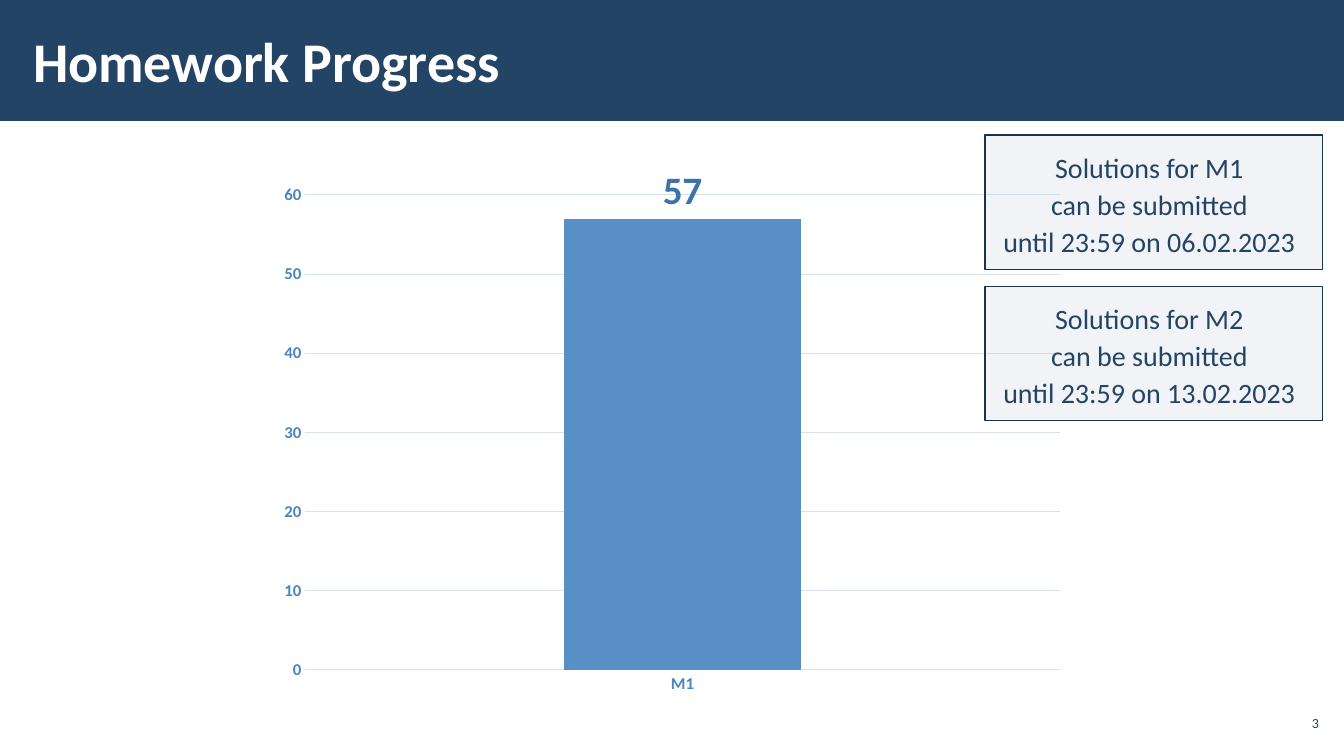
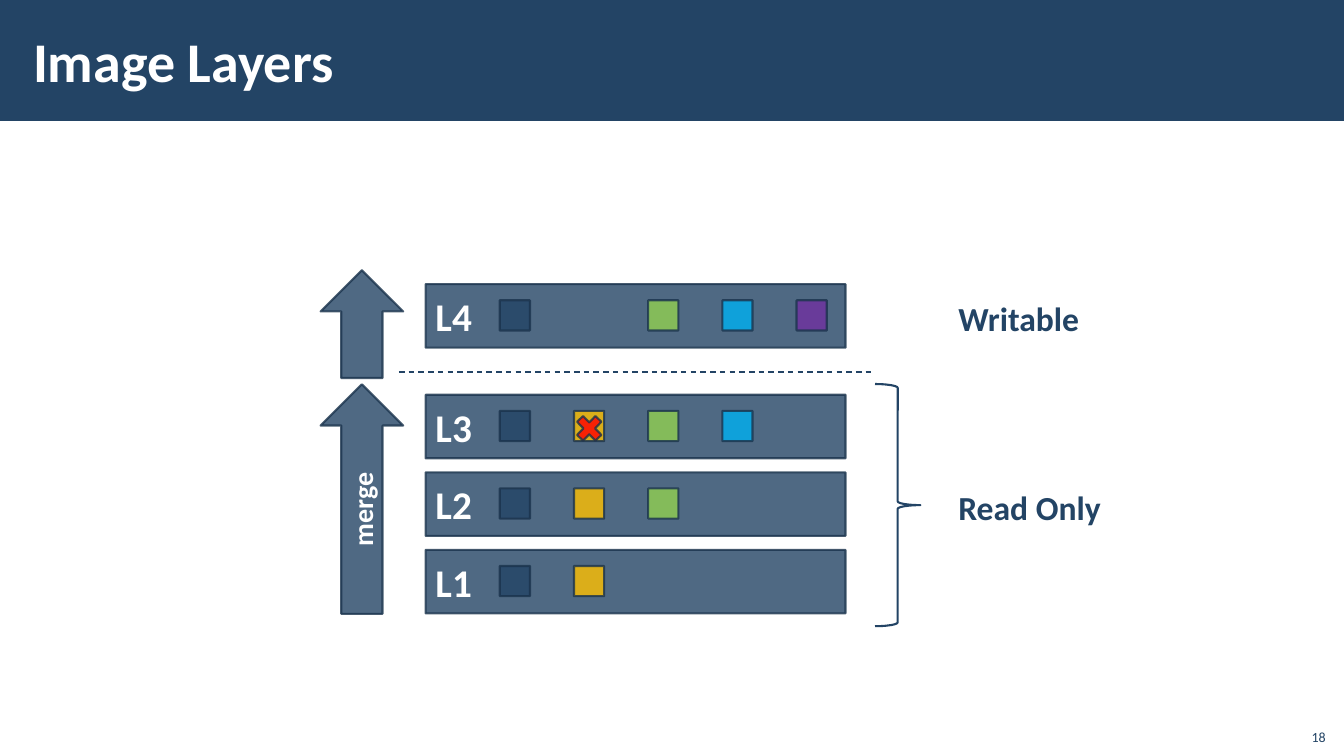
from dataclasses import dataclass

from pptx import Presentation
from pptx.chart.data import CategoryChartData
from pptx.dml.color import RGBColor
from pptx.enum.chart import XL_CHART_TYPE, XL_LABEL_POSITION, XL_TICK_MARK
from pptx.enum.dml import MSO_LINE
from pptx.enum.shapes import MSO_CONNECTOR, MSO_SHAPE
from pptx.enum.text import MSO_ANCHOR, MSO_AUTO_SIZE, PP_ALIGN
from pptx.oxml.ns import qn
from pptx.util import Pt
from lxml.etree import SubElement


@dataclass(frozen=True)
class Theme:
    font: str = "Calibri"
    navy: str = "234465"
    outline: str = "1A334C"
    white: str = "FFFFFF"
    callout: str = "ADB4C3"
    bar: str = "588FC5"
    bar_label: str = "3B73AA"
    axis: str = "4A85C0"
    grid: str = "D5E3F1"
    yellow: str = "FFC000"
    green: str = "92D050"
    cyan: str = "00B0F0"
    purple: str = "7030A0"
    red: str = "FF0000"
    title_size: int = 40
    label_size: int = 28
    side_size: int = 24
    body_size: int = 20
    axis_size: int = 12
    small_size: int = 10


@dataclass(frozen=True)
class Box:
    left: float
    top: float
    width: float
    height: float

    def inner(self, left, top, width, height):
        return Box(self.left + left, self.top + top, width, height)

    def points(self):
        return [Pt(n) for n in (self.left, self.top, self.width, self.height)]


THEME = Theme()
PAGE = Box(0, 0, 960, 540)
BAND = Box(0, 0, 960, 86.4)
TITLE = Box(15, 8, 765, 70)


# Shared styling
def rgb(value):
    return RGBColor.from_string(value)


def style_font(font, size, color, bold=False):
    font.name, font.size, font.bold = THEME.font, Pt(size), bold
    font.color.rgb = rgb(color)


def set_insets(frame, left, top, right, bottom):
    frame.margin_left, frame.margin_top = Pt(left), Pt(top)
    frame.margin_right, frame.margin_bottom = Pt(right), Pt(bottom)


def set_text(frame, text, size, color, bold=False, align=PP_ALIGN.LEFT,
             spacing=None, anchor=MSO_ANCHOR.MIDDLE):
    frame.text = text
    frame.vertical_anchor = anchor
    for paragraph in frame.paragraphs:
        paragraph.alignment = align
        paragraph.line_spacing = spacing
        for run in paragraph.runs:
            style_font(run.font, size, color, bold)


def set_opacity(parent, percent):
    color = parent.find(qn("a:solidFill")).find(qn("a:srgbClr"))
    SubElement(color, qn("a:alpha"), val=str(percent * 1000))


def add_block(slide, kind, box, fill, opacity=80, line_width=1.5, line_opacity=80):
    shape = slide.shapes.add_shape(kind, *box.points())
    shape.shadow.inherit = False
    shape.fill.solid()
    shape.fill.fore_color.rgb = rgb(fill)
    shape.line.color.rgb = rgb(THEME.outline)
    shape.line.width = Pt(line_width)
    properties = shape.element.spPr
    set_opacity(properties, opacity)
    set_opacity(properties.find(qn("a:ln")), line_opacity)
    return shape


def add_text(slide, box, text, size, color, wrap=True, insets=None, **style):
    frame = slide.shapes.add_textbox(*box.points()).text_frame
    frame.word_wrap = wrap
    if insets:
        set_insets(frame, *insets)
    set_text(frame, text, size, color, **style)


def prepare_layout(presentation):
    """Put the title band and the title place on the title-only layout."""
    layout = presentation.slide_layouts[5]
    for placeholder in list(layout.placeholders):
        if placeholder.placeholder_format.idx:
            placeholder.element.getparent().remove(placeholder.element)
    title = layout.placeholders[0]
    title.left, title.top, title.width, title.height = TITLE.points()
    return layout


def add_titled_slide(presentation, layout, title):
    slide = presentation.slides.add_slide(layout)
    if len(presentation.slides) == 1:
        band = slide.shapes.add_shape(MSO_SHAPE.RECTANGLE, *BAND.points())
        band.shadow.inherit = False
        band.fill.solid()
        band.fill.fore_color.rgb = rgb(THEME.navy)
        band.line.fill.background()
        layout.shapes.element.insert(2, band.element)
    frame = slide.shapes.title.text_frame
    frame.auto_size = MSO_AUTO_SIZE.NONE
    set_insets(frame, 8.64, 2.88, 8.64, 2.88)
    set_text(frame, title, THEME.title_size, THEME.white, bold=True)
    return slide


def add_page_number(slide, box, number, **style):
    add_text(slide, box, number, THEME.small_size, THEME.navy,
             align=PP_ALIGN.RIGHT, **style)


# Homework slide
def add_progress_chart(slide, box):
    data = CategoryChartData()
    data.categories = ["M1"]
    data.add_series("Series 1", [57])
    chart = slide.shapes.add_chart(
        XL_CHART_TYPE.COLUMN_CLUSTERED, *box.points(), data).chart
    chart.has_title = chart.has_legend = False
    style_font(chart.font, THEME.small_size, THEME.navy)

    for axis in (chart.category_axis, chart.value_axis):
        axis.major_tick_mark = axis.minor_tick_mark = XL_TICK_MARK.NONE
        style_font(axis.tick_labels.font, THEME.axis_size, THEME.axis, bold=True)
    scale = chart.value_axis
    scale.minimum_scale, scale.maximum_scale, scale.major_unit = 0, 60, 10
    scale.format.line.fill.background()
    for line in (chart.category_axis.format.line, scale.major_gridlines.format.line):
        line.color.rgb = rgb(THEME.grid)
        line.width = Pt(0.75)

    plot = chart.plots[0]
    plot.gap_width, plot.overlap, plot.vary_by_categories = 219, -27, False
    series = plot.series[0]
    series.format.fill.solid()
    series.format.fill.fore_color.rgb = rgb(THEME.bar)
    labels = series.data_labels
    labels.show_value = True
    labels.position = XL_LABEL_POSITION.OUTSIDE_END
    style_font(labels.font, THEME.label_size, THEME.bar_label, bold=True)


def add_deadlines(slide, box, deadlines):
    height, pitch = 96, 108
    for row, (milestone, date) in enumerate(deadlines):
        place = box.inner(0, row * pitch, box.width, height)
        shape = add_block(slide, MSO_SHAPE.RECTANGLE, place, THEME.callout,
                          opacity=15, line_width=1, line_opacity=100)
        set_insets(shape.text_frame, 8, 8.64, 14, 8.64)
        text = f"Solutions for {milestone}\ncan be submitted\nuntil 23:59 on {date}"
        set_text(shape.text_frame, text, THEME.body_size, THEME.navy,
                 align=PP_ALIGN.CENTER, spacing=1.1, anchor=MSO_ANCHOR.TOP)


def build_homework(presentation, layout):
    slide = add_titled_slide(presentation, layout, "Homework Progress")
    add_page_number(slide, PAGE.inner(911, 504, 34, 24.5), "3",
                    insets=(2.88, 2.88, 2.88, 2.88))
    add_progress_chart(slide, PAGE.inner(191.5, 120, 577, 383))
    add_deadlines(slide, PAGE.inner(703.5, 96.5, 241, 204),
                  [("M1", "06.02.2023"), ("M2", "13.02.2023")])


# Layers slide
def add_layer(slide, box, name, files):
    """A layer bar with one square per file; None leaves a gap."""
    bar = add_block(slide, MSO_SHAPE.RECTANGLE, box, THEME.navy)
    set_text(bar.text_frame, name, THEME.label_size, THEME.white, bold=True)
    for column, color in enumerate(files):
        if color:
            square = box.inner(53 * (column + 1), 11.5, 21.6, 21.6)
            add_block(slide, MSO_SHAPE.RECTANGLE, square, color)


def add_merge_arrow(slide, box, text=""):
    arrow = add_block(slide, MSO_SHAPE.UP_ARROW, box, THEME.navy)
    if text:
        arrow.text_frame._txBody.bodyPr.set("vert", "vert270")
        set_text(arrow.text_frame, text, THEME.body_size, THEME.white,
                 bold=True, align=PP_ALIGN.CENTER)


def add_access_label(slide, box, text):
    add_text(slide, box, text, THEME.side_size, THEME.navy, wrap=False,
             insets=(11.52, 8.64, 11.52, 8.64), bold=True, spacing=1.1,
             anchor=MSO_ANCHOR.TOP)


def add_separator(slide, box):
    line = slide.shapes.add_connector(
        MSO_CONNECTOR.STRAIGHT, Pt(box.left), Pt(box.top),
        Pt(box.left + box.width), Pt(box.top))
    line.line.color.rgb = rgb(THEME.navy)
    line.line.width = Pt(1)
    line.line.dash_style = MSO_LINE.DASH
    SubElement(line.element.spPr, qn("a:effectLst"))


def add_layer_diagram(slide, box):
    navy, yellow, green, cyan = THEME.navy, THEME.yellow, THEME.green, THEME.cyan
    bar_left, bar_width, bar_height, pitch = 75, 300, 45.4, 55.4

    # Writable layer
    add_layer(slide, box.inner(bar_left, 10, bar_width, bar_height),
              "L4", [navy, None, green, cyan, THEME.purple])
    add_merge_arrow(slide, box.inner(0, 0, 59, 77))
    add_access_label(slide, box.inner(444, 8, 110, 47.5), "Writable")
    add_separator(slide, box.inner(56, 72.7, 340, 0))

    # Read-only layers
    layers = [("L3", [navy, yellow, green, cyan]),
              ("L2", [navy, yellow, green]),
              ("L1", [navy, yellow])]
    for row, (name, files) in enumerate(layers):
        add_layer(slide, box.inner(bar_left, 89 + row * pitch, bar_width, bar_height),
                  name, files)
    add_block(slide, MSO_SHAPE.MATH_MULTIPLY, box.inner(179.3, 100, 25.2, 26), THEME.red)
    add_merge_arrow(slide, box.inner(0, 81.5, 59, 164), "merge")
    brace = slide.shapes.add_shape(
        MSO_SHAPE.RIGHT_BRACE, *box.inner(396, 81.3, 32.4, 173).points())
    brace.shadow.inherit = False
    brace.fill.background()
    brace.line.color.rgb = rgb(navy)
    brace.line.width = Pt(1.5)
    add_access_label(slide, box.inner(444, 143.5, 126, 47.5), "Read Only")


def build_layers(presentation, layout):
    slide = add_titled_slide(presentation, layout, "Image Layers")
    add_page_number(slide, PAGE.inner(925, 512.6, 29, 23), "18",
                    anchor=MSO_ANCHOR.BOTTOM)
    add_layer_diagram(slide, PAGE.inner(229, 193, 570, 254))


def main():
    presentation = Presentation()
    presentation.slide_width, presentation.slide_height = Pt(PAGE.width), Pt(PAGE.height)
    layout = prepare_layout(presentation)
    build_homework(presentation, layout)
    build_layers(presentation, layout)
    presentation.save("out.pptx")


if __name__ == "__main__":
    main()
